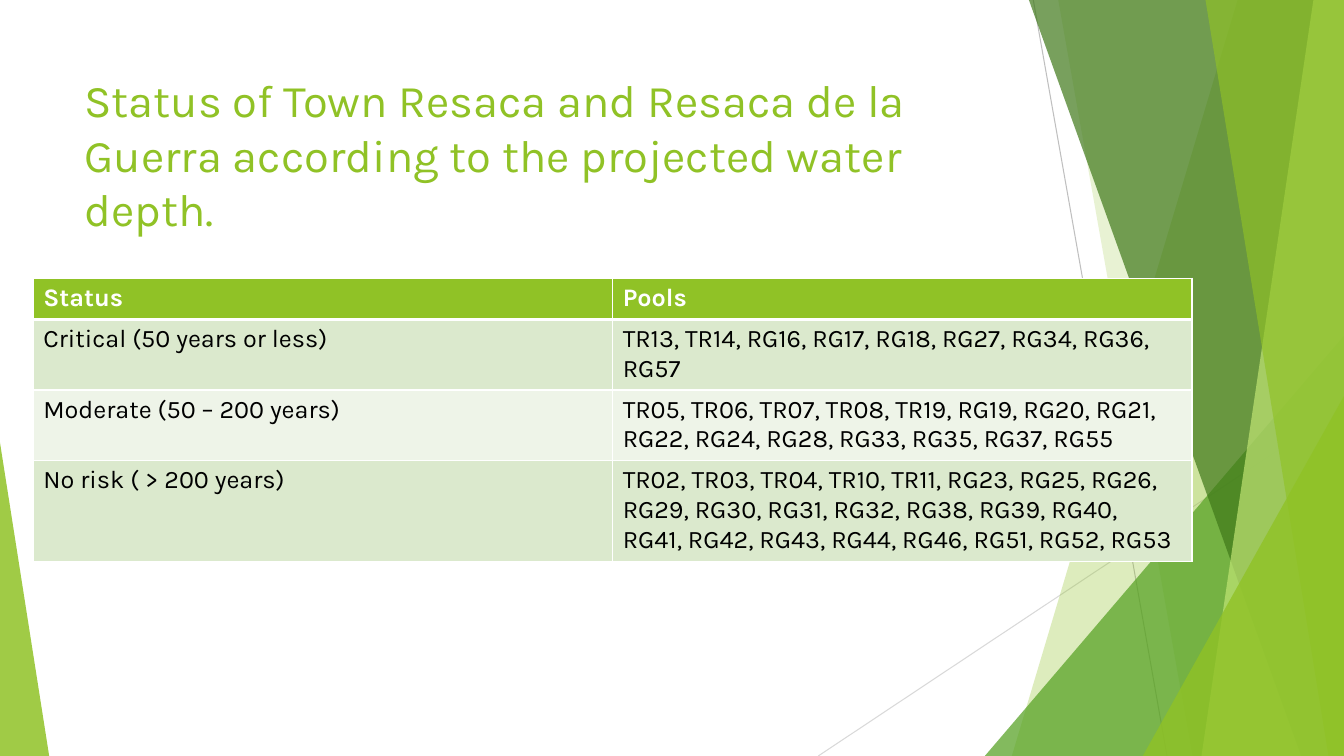
from lxml.etree import SubElement
from pptx import Presentation
from pptx.dml.color import RGBColor
from pptx.enum.shapes import MSO_CONNECTOR, MSO_SHAPE
from pptx.enum.text import MSO_ANCHOR
from pptx.oxml.ns import qn
from pptx.util import Cm, Pt

WIDTH, HEIGHT = 33.87, 19.05
GREEN, WHITE, BLACK = "90C226", "FFFFFF", "000000"

GUIDES = [((26.04, 0), (29.41, HEIGHT), "BFBFBF"),
          ((WIDTH, 10.24), (20.62, HEIGHT), "D9D9D9")]

FACETS = [("band", (31.19, 25.5), GREEN, 30),
          ("band", (26.67, 30.05), GREEN, 20),
          ("triangle", (24.82, 8.46, 9.05, 1), "54A021", 72),
          ("band", (25.93, 32.79), "3F7819", 70),
          ("band", (33.1, 30.28), "C0E474", 70),
          ("band", (30.38, 33.48), GREEN, 65),
          ("triangle", (28.8, 9.98, 5.07, 1), GREEN, 80),
          ("triangle", (0, 11.15, 1.24, 0), GREEN, 85)]

TITLE = ("Status of Town Resaca and Resaca de la Guerra "
         "according to the projected water depth.")

STATUS_ROWS = [
    ("Status", "Pools"),
    ("Critical (50 years or less)",
     "TR13, TR14, RG16, RG17, RG18, RG27, RG34, RG36, RG57"),
    ("Moderate (50 – 200 years)",
     "TR05, TR06, TR07, TR08, TR19, RG19, RG20, RG21, RG22, RG24, RG28, "
     "RG33, RG35, RG37, RG55"),
    ("No risk ( > 200 years)",
     "TR02, TR03, TR04, TR10, TR11, RG23, RG25, RG26, RG29, RG30, RG31, "
     "RG32, RG38, RG39, RG40, RG41, RG42, RG43, RG44, RG46, RG51, RG52, RG53"),
]
ROW_FILLS = [GREEN, "DBE9CD", "EEF4E8", "DBE9CD"]


def rgb(color):
    return RGBColor.from_string(color)


class SlideBuilder:
    font_name = "Karla"

    def __init__(self, slide):
        self.slide = slide
        self.shapes = slide.shapes

    def text(self, tf, content, color, **formats):
        r = tf.paragraphs[0].add_run()
        r.text = content
        for name, value in {"name": self.font_name, **formats}.items():
            setattr(r.font, name, value)
        r.font.color.rgb = rgb(color)

    def line(self, start, end, color):
        cx = self.shapes.add_connector(
            MSO_CONNECTOR.STRAIGHT, *(Cm(v) for v in start + end))
        cx.line.color.rgb = rgb(color)
        cx.line.width = Pt(0.75)
        SubElement(cx._element.spPr, qn("a:effectLst"))

    def paint(self, sp, color, opacity):
        sp.shadow.inherit = False
        sp.line.fill.background()
        sp.fill.solid()
        sp.fill.fore_color.rgb = rgb(color)
        clr = sp._element.spPr.find(qn("a:solidFill"))[0]
        SubElement(clr, qn("a:alpha"), val=str(opacity * 1000))

    def band(self, top_x, bottom_x):
        corners = [(WIDTH, 0), (WIDTH, HEIGHT), (bottom_x, HEIGHT)]
        fb = self.shapes.build_freeform(Cm(top_x), 0)
        fb.add_line_segments([(Cm(x), Cm(y)) for x, y in corners], close=True)
        return fb.convert_to_shape()

    def triangle(self, left, top, width, apex):
        sp = self.shapes.add_shape(
            MSO_SHAPE.ISOSCELES_TRIANGLE,
            Cm(left), Cm(top), Cm(width), Cm(HEIGHT - top))
        sp.adjustments[0] = apex
        return sp

    def title(self, content, left, top, width, height):
        tf = self.shapes.add_textbox(
            Cm(left), Cm(top), Cm(width), Cm(height)).text_frame
        tf.word_wrap = True
        tf.vertical_anchor = MSO_ANCHOR.TOP
        self.text(tf, content, GREEN, size=Pt(32.4))

    def borders(self, cell, widths):
        tc_pr = cell._tc.get_or_add_tcPr()
        for side, width in widths.items():
            ln = SubElement(tc_pr, qn(f"a:ln{side}"), w=str(Pt(width)))
            fill = SubElement(ln, qn("a:solidFill"))
            SubElement(fill, qn("a:srgbClr"), val=WHITE)

    def table(self, rows, fills, left, top, col_width, row_height):
        n_cols = len(rows[0])
        table = self.shapes.add_table(
            len(rows), n_cols, Cm(left), Cm(top),
            Cm(col_width * n_cols), Cm(row_height * len(rows))).table
        for i, (contents, fill) in enumerate(zip(rows, fills)):
            header = i == 0
            widths = {"L": 1, "R": 1, "T": 3 if i == 1 else 1,
                      "B": 3 if header else 1}
            for j, content in enumerate(contents):
                cell = table.cell(i, j)
                self.borders(cell, widths)
                cell.fill.solid()
                cell.fill.fore_color.rgb = rgb(fill)
                self.text(cell.text_frame, content, WHITE if header else BLACK,
                          size=Pt(18), bold=header)


def main():
    prs = Presentation()
    prs.slide_width, prs.slide_height = Cm(WIDTH), Cm(HEIGHT)
    s = SlideBuilder(prs.slides.add_slide(prs.slide_layouts[6]))
    for start, end, color in GUIDES:
        s.line(start, end, color)
    draw = {"band": s.band, "triangle": s.triangle}
    for kind, geometry, color, opacity in FACETS:
        s.paint(draw[kind](*geometry), color, opacity)
    s.title(TITLE, 1.88, 1.7, 23.88, 3.66)
    s.table(STATUS_ROWS, ROW_FILLS, 0.84, 7.01, 14.6, 1.04)
    prs.save("out.pptx")


if __name__ == "__main__":
    main()
